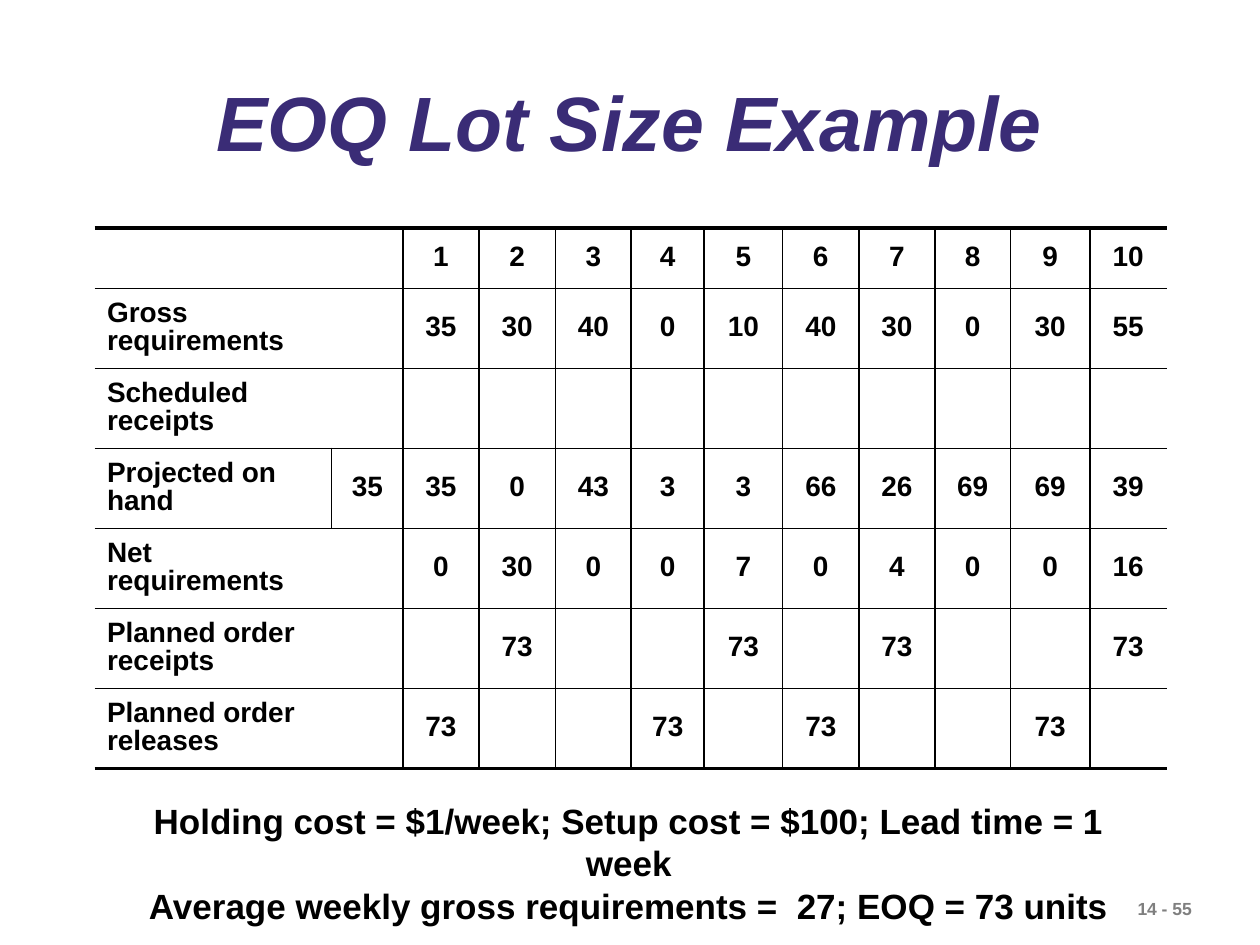
from lxml import etree
from pptx import Presentation
from pptx.dml.color import RGBColor
from pptx.enum import text as t
from pptx.oxml.ns import qn
from pptx.util import Inches, Pt

BLACK, PURPLE, GRAY = "000000", "3A2C76", "7F7F7F"
THIN, THICK = 1.08, 2.21
LEFT, CENTER = t.PP_ALIGN.LEFT, t.PP_ALIGN.CENTER

WIDTHS = [1.88, 0.57, 0.6, 0.61, 0.6, 0.58, 0.62, 0.61, 0.6, 0.6, 0.63, 0.61]
HEAD = 0.48
ROWS = [
    ["", "", *range(1, 11)],
    ["Gross requirements", "", 35, 30, 40, 0, 10, 40, 30, 0, 30, 55],
    ["Scheduled receipts", *[""] * 11],
    ["Projected on hand", 35, 35, 0, 43, 3, 3, 66, 26, 69, 69, 39],
    ["Net requirements", "", 0, 30, 0, 0, 7, 0, 4, 0, 0, 16],
    ["Planned order receipts", "", "", 73, "", "", 73, "", 73, "", "", 73],
    ["Planned order releases", "", 73, "", "", 73, "", 73, "", "", 73, ""],
]


def color(code):
    return RGBColor.from_string(code)


def style(para, size, code=BLACK, align=LEFT, italic=False):
    para.alignment = align
    font = para.font
    font.name, font.size = "Arial", Pt(size)
    font.bold, font.italic = True, italic
    font.color.rgb = color(code)
    for run in para.runs:
        run.font.name, run.font.size = "Arial", Pt(size)
        run.font.bold, run.font.italic = True, italic
        run.font.color.rgb = color(code)


def add_text(slide, box, words, wrap=True, anchor=t.MSO_ANCHOR.TOP,
             spacing=None, **look):
    frame = slide.shapes.add_textbox(*map(Inches, box)).text_frame
    frame.word_wrap = wrap
    frame.vertical_anchor = anchor
    frame.text = words
    for para in frame.paragraphs:
        para.line_spacing = spacing
        style(para, **look)


def set_edges(cell, widths):
    """Draw the cell's sides; a width of 0 hides that side."""
    props = cell._tc.get_or_add_tcPr()
    for i, (side, width) in enumerate(widths.items()):
        line = etree.Element(qn(f"a:ln{side}"), w=str(int(Pt(width))))
        if width:
            fill = etree.SubElement(line, qn("a:solidFill"))
            etree.SubElement(fill, qn("a:srgbClr"), val=BLACK)
        else:
            etree.SubElement(line, qn("a:noFill"))
        props.insert(i, line)


def fill_cell(cell, value, align):
    cell.fill.background()
    cell.vertical_anchor = t.MSO_ANCHOR.MIDDLE
    cell.text = str(value)
    para = cell.text_frame.paragraphs[0]
    para.line_spacing, para.space_after = 0.9, Pt(8)
    style(para, 16, align=align)


def add_plan(slide, box):
    count, last = len(ROWS), len(WIDTHS) - 1
    table = slide.shapes.add_table(count, last + 1, *map(Inches, box)).table
    table.first_row = table.horz_banding = False
    for col, width in zip(table.columns, WIDTHS):
        col.width = Inches(width)
    for r, row in enumerate(ROWS):
        table.rows[r].height = Inches(
            (box[3] - HEAD) / (count - 1) if r else HEAD)
        # Only a row with an opening balance splits its label area.
        split = THIN if row[1] != "" else 0
        for c, value in enumerate(row):
            cell = table.cell(r, c)
            fill_cell(cell, value, CENTER if c else LEFT)
            sides = [0, split] + [THIN] * (last - 1) + [0]
            set_edges(cell, {
                "L": sides[c], "R": sides[c + 1],
                "T": THIN if r else THICK,
                "B": THIN if r < count - 1 else THICK})


def main():
    deck = Presentation()
    deck.slide_width, deck.slide_height = Inches(10), Inches(7.5)
    slide = deck.slides.add_slide(deck.slide_layouts[6])
    add_text(slide, (8.93, 7.08, 1.14, 0.27), "14 - 55", wrap=False,
             size=10, code=GRAY)
    add_text(slide, (0.75, 0.51, 8.5, 0.99), "EOQ Lot Size Example",
             anchor=t.MSO_ANCHOR.MIDDLE, spacing=0.9,
             size=44, code=PURPLE, align=CENTER, italic=True)
    add_plan(slide, (0.75, 1.81, 8.5, 4.29))
    add_text(slide, (0.75, 6.3, 8.48, 1.1),
             "Holding cost = $1/week; Setup cost = $100; Lead time = 1 week\n"
             "Average weekly gross requirements =  27; EOQ = 73 units",
             size=20, align=CENTER)
    deck.save("out.pptx")


if __name__ == "__main__":
    main()
